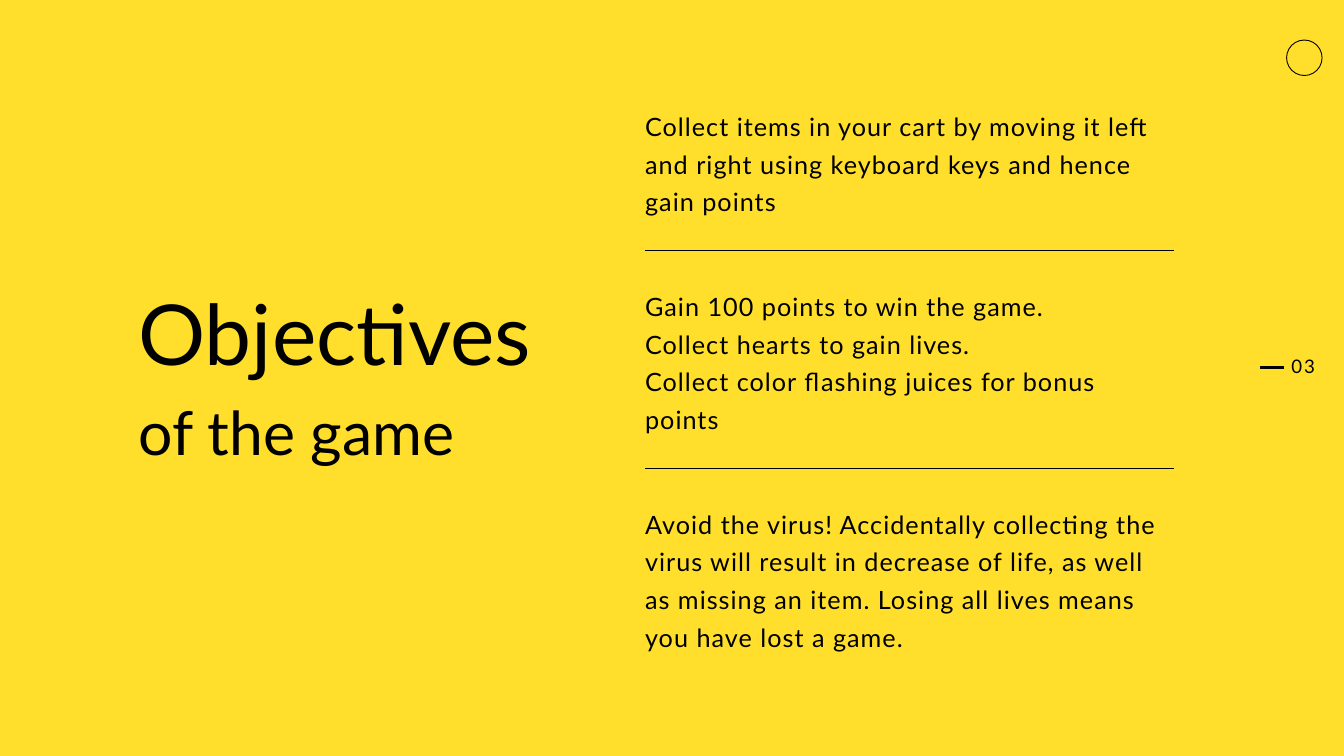
from pptx import Presentation
from pptx.dml.color import RGBColor
from pptx.enum.shapes import MSO_CONNECTOR, MSO_SHAPE
from pptx.enum.text import MSO_AUTO_SIZE, PP_ALIGN
from pptx.oxml.ns import qn
from pptx.util import Pt
from lxml import etree

YELLOW = RGBColor(0xFF, 0xDF, 0x2B)
BLACK = RGBColor(0x00, 0x00, 0x00)
STRAIGHT = MSO_CONNECTOR.STRAIGHT
OVAL = MSO_SHAPE.OVAL
GROW = MSO_AUTO_SIZE.SHAPE_TO_FIT_TEXT
LEFT, RIGHT = PP_ALIGN.LEFT, PP_ALIGN.RIGHT

deck = Presentation()
deck.slide_width, deck.slide_height = Pt(1440), Pt(810)
page = deck.slides.add_slide(deck.slide_layouts[6])
page.background.fill.solid()
page.background.fill.fore_color.rgb = YELLOW


def add_text(text, left, top, width, height, size, leading, spacing=0, align=LEFT):
    """Add a text box; each line of the text is a paragraph, spacing is in points."""
    box = page.shapes.add_textbox(Pt(left), Pt(top), Pt(width), Pt(height))
    frame = box.text_frame
    frame.word_wrap = True
    frame.auto_size = GROW
    frame.margin_left = frame.margin_top = frame.margin_right = frame.margin_bottom = 0
    frame.text = text
    for para in frame.paragraphs:
        para.alignment = align
        para.line_spacing = Pt(leading)
        for span in para.runs:
            span.font.name = "Lato"
            span.font.size = Pt(size)
            span.font.color.rgb = BLACK
            if spacing:
                span.font._element.set("spc", str(round(spacing * 100)))


# Ring in the top right corner
ring = page.shapes.add_shape(OVAL, Pt(1378.5), Pt(42.9), Pt(38), Pt(38))
ring.shadow.inherit = False
ring.fill.background()
ring.line.color.rgb = BLACK
ring.line.width = Pt(0.95)

# Page number
add_text("03", 1373, 380.2, 36, 24.5, size=20, leading=24, spacing=2, align=RIGHT)

# Objectives
COLUMN_LEFT, COLUMN_WIDTH = 691.2, 566.6
objectives = [
    (110.9, 116.6, "Collect items in your cart by moving it left and right using "
                   "keyboard keys and hence gain points"),
    (303.8, 157, "Gain 100 points to win the game.\n"
                 "Collect hearts to gain lives.\n"
                 "Collect color flashing juices for bonus points"),
    (537.1, 157, "Avoid the virus! Accidentally collecting the virus will result in "
                 "decrease of life, as well as missing an item. Losing all lives means "
                 "you have lost a game."),
]
for top, height, text in objectives:
    add_text(text, COLUMN_LEFT, top, COLUMN_WIDTH, height,
             size=27, leading=40.5, spacing=1.1)

# Dash before the page number, and dividers between the objectives
for left, y, width, weight in [
    (1350.4, 393.5, 25.2, 2.9),
    (COLUMN_LEFT, 268.2, COLUMN_WIDTH, 0.75),
    (COLUMN_LEFT, 501.5, COLUMN_WIDTH, 0.75),
]:
    rule = page.shapes.add_connector(STRAIGHT, Pt(left), Pt(y), Pt(left + width), Pt(y))
    rule.line.color.rgb = BLACK
    rule.line.width = Pt(weight)
    etree.SubElement(rule._element.spPr, qn("a:effectLst"))

# Title
add_text("Objectives", 148.3, 311, 494, 103, size=90, leading=99)
add_text("of the game", 148.3, 429.1, 437.8, 74.2, size=65, leading=71.5)

deck.save("out.pptx")
